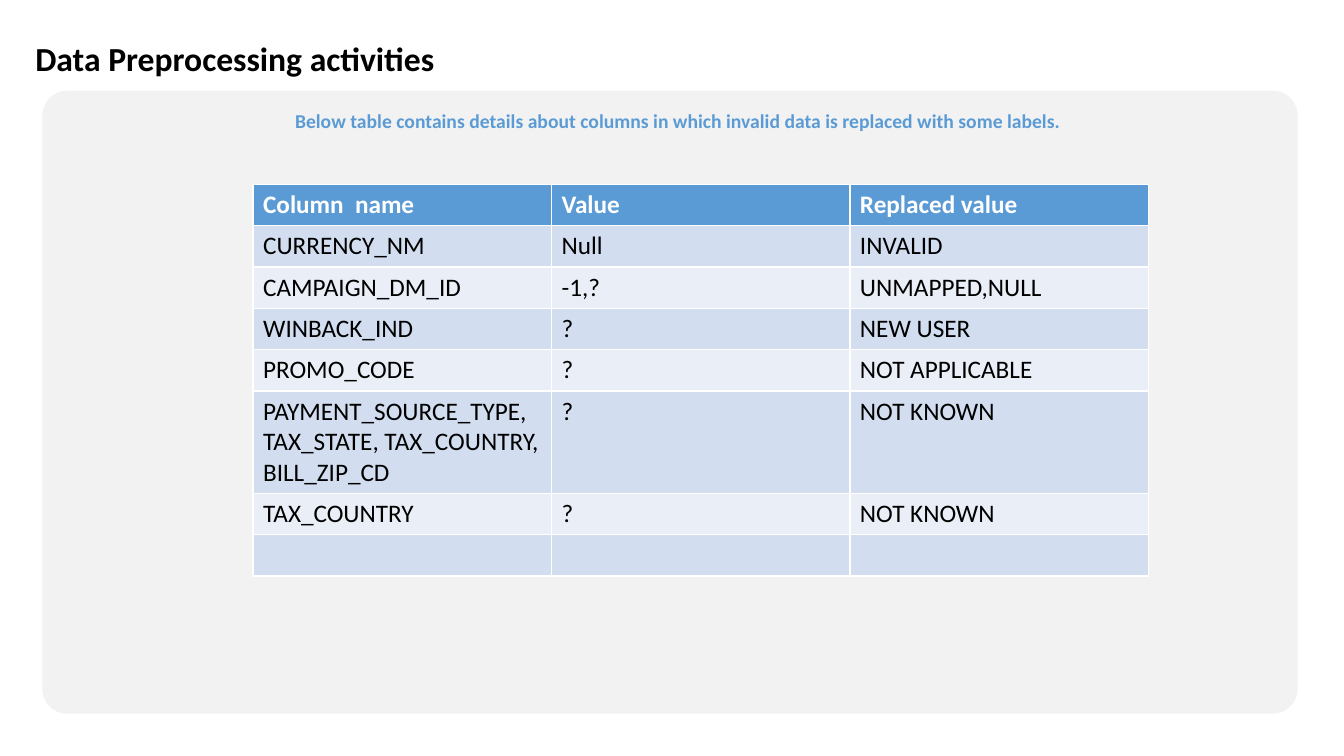
import pptx
import pptx.dml.color
import pptx.enum.shapes
import pptx.enum.text
import pptx.util
from dataclasses import dataclass

EMU_PER_PX = 9144  # 100 px to the inch


@dataclass(frozen=True)
class Theme:
    font: str = "Calibri"
    black: str = "000000"
    white: str = "FFFFFF"
    accent: str = "5B9BD5"
    panel: str = "F2F2F2"
    bands: tuple[str, str] = ("D2DEEF", "EAEFF7")
    title_size: int = 24
    caption_size: int = 14
    table_size: int = 18


@dataclass(frozen=True)
class Area:
    left: int
    top: int
    width: int
    height: int

    def emu(self) -> tuple[int, int, int, int]:
        return px(self.left), px(self.top), px(self.width), px(self.height)


@dataclass(frozen=True)
class Replacement:
    column: str
    value: str
    label: str


THEME = Theme()
TITLE_AREA = Area(25, 0, 1217, 121)
PANEL_AREA = Area(42, 90, 1245, 618)
TABLE_AREA = Area(251, 183, 888, 328)

HEADER = Replacement("Column  name", "Value", "Replaced value")
REPLACEMENTS = [
    Replacement("CURRENCY_NM", "Null", "INVALID"),
    Replacement("CAMPAIGN_DM_ID", "-1,?", "UNMAPPED,NULL"),
    Replacement("WINBACK_IND", "?", "NEW USER"),
    Replacement("PROMO_CODE", "?", "NOT APPLICABLE"),
    Replacement("PAYMENT_SOURCE_TYPE, TAX_STATE, TAX_COUNTRY, BILL_ZIP_CD", "?", "NOT KNOWN"),
    Replacement("TAX_COUNTRY", "?", "NOT KNOWN"),
    Replacement("", "", ""),
]


def px(length: int) -> pptx.util.Emu:
    return pptx.util.Emu(length * EMU_PER_PX)


def rgb(color: str) -> pptx.dml.color.RGBColor:
    return pptx.dml.color.RGBColor.from_string(color)


def write(frame, text: str, size: int, color: str, bold: bool):
    """Set one paragraph of text, format it and return the paragraph."""
    frame.text = text
    para = frame.paragraphs[0]
    for target in (para, *para.runs):
        target.font.name = THEME.font
        target.font.size = pptx.util.Pt(size)
        target.font.bold = bold
        target.font.color.rgb = rgb(color)
    return para


def format_title(box) -> None:
    box.left, box.top, box.width, box.height = TITLE_AREA.emu()
    frame = box.text_frame
    para = write(frame, "Data Preprocessing activities", THEME.title_size, THEME.black, True)
    para.alignment = pptx.enum.text.PP_ALIGN.LEFT
    para.line_spacing = 0.9
    frame.vertical_anchor = pptx.enum.text.MSO_ANCHOR.MIDDLE
    frame.auto_size = pptx.enum.text.MSO_AUTO_SIZE.NONE


def add_panel(page) -> None:
    panel = page.shapes.add_shape(
        pptx.enum.shapes.MSO_SHAPE.ROUNDED_RECTANGLE, *PANEL_AREA.emu())
    panel.adjustments[0] = 0.04
    panel.shadow.inherit = False
    panel.fill.solid()
    panel.fill.fore_color.rgb = rgb(THEME.panel)
    panel.line.fill.background()

    frame = panel.text_frame
    frame.word_wrap = True
    frame.vertical_anchor = pptx.enum.text.MSO_ANCHOR.TOP
    frame.margin_left, frame.margin_right = px(20), px(4)
    frame.margin_top, frame.margin_bottom = px(5), px(2)
    caption = ("Below table contains details about columns in which "
               "invalid data is replaced with some labels.")
    para = write(frame, caption, THEME.caption_size, THEME.accent, True)
    para.alignment = pptx.enum.text.PP_ALIGN.CENTER
    para.line_spacing = 1.25


def add_replacement_table(page) -> None:
    rows = [HEADER, *REPLACEMENTS]
    table = page.shapes.add_table(len(rows), 3, *TABLE_AREA.emu()).table
    for row_index, row in enumerate(rows):
        is_header = row_index == 0
        fill = THEME.accent if is_header else THEME.bands[(row_index - 1) % 2]
        color = THEME.white if is_header else THEME.black
        for column_index, text in enumerate((row.column, row.value, row.label)):
            cell = table.cell(row_index, column_index)
            cell.fill.solid()
            cell.fill.fore_color.rgb = rgb(fill)
            write(cell.text_frame, text, THEME.table_size, color, is_header)


def main() -> None:
    deck = pptx.Presentation()
    deck.slide_width, deck.slide_height = px(1333), px(750)
    page = deck.slides.add_slide(deck.slide_layouts.get_by_name("Title Only"))
    page.background.fill.solid()
    page.background.fill.fore_color.rgb = rgb(THEME.white)

    # Heading, grey panel with its caption, and the table on top
    format_title(page.shapes.title)
    add_panel(page)
    add_replacement_table(page)
    deck.save("out.pptx")


if __name__ == "__main__":
    main()
